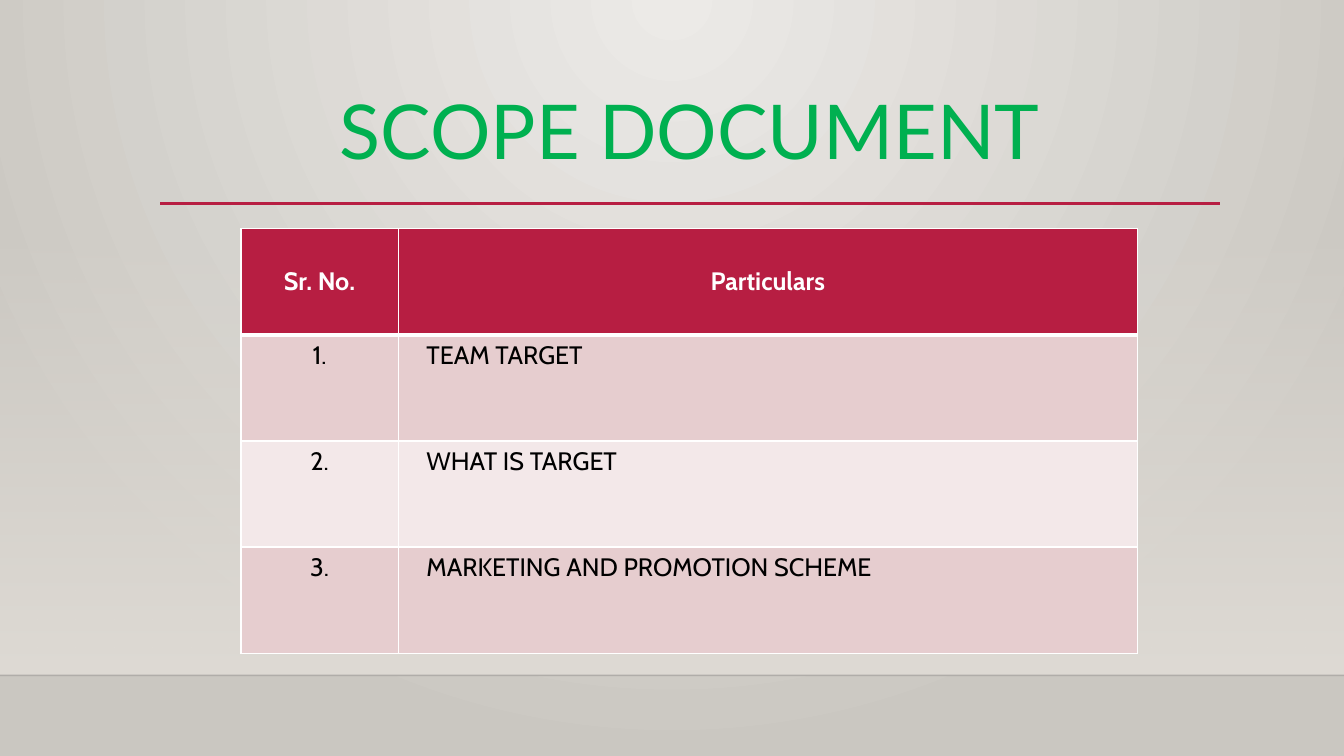
from dataclasses import dataclass

import pptx
import pptx.dml.color
import pptx.enum.shapes
import pptx.enum.text
import pptx.oxml
import pptx.oxml.ns
import pptx.util

ALIGN = pptx.enum.text.PP_ALIGN
ANCHOR = pptx.enum.text.MSO_ANCHOR


@dataclass(frozen=True)
class Theme:
    title_font: str = "Lato"
    body_font: str = "Cabin"
    title_size: float = 54
    body_size: float = 18
    title: str = "00B050"
    title_outline: str = "002060"
    accent: str = "B71E42"
    bands: tuple = ("E6CDCF", "F3E8E9")
    text: str = "000000"
    light: str = "FFFFFF"
    glow: tuple = ("ECEAE7", "CAC7C1")
    wall: str = "DFDBD5"
    edge: str = "000001"


def rgb(value):
    return pptx.dml.color.RGBColor.from_string(value)


def element(xml):
    """Parse one DrawingML element, adding the namespace to its root tag."""
    tag = xml[1:].split()[0].rstrip("/>").split(">")[0]
    ns = pptx.oxml.ns.nsdecls("a")
    return pptx.oxml.parse_xml(xml.replace(tag, f"{tag} {ns}", 1))


def line_xml(tag, color, width):
    return element(
        f'<a:{tag} w="{int(pptx.util.Pt(width))}"><a:solidFill>'
        f'<a:srgbClr val="{color}"/></a:solidFill></a:{tag}>'
    )


def set_alpha(parent, percents):
    """Give the RGB colours under parent these opacities, in order."""
    for color, percent in zip(parent.iter(pptx.oxml.ns.qn("a:srgbClr")), percents):
        color.append(element(f'<a:alpha val="{percent * 1000}"/>'))


def set_gradient(fill, colors):
    fill.gradient()
    for stop, color, position in zip(fill.gradient_stops, colors, (0, 1)):
        stop.color.rgb = rgb(color)
        stop.position = position


def write(tf, text, *, font, size, color, bold=False, align=ALIGN.LEFT, spacing=None):
    p = tf.paragraphs[0]
    p.alignment = align
    if spacing:
        p.line_spacing = spacing
    r = p.add_run()
    r.text = text
    r.font.name = font
    r.font.size = pptx.util.Pt(size)
    r.font.bold = bold
    r.font.color.rgb = rgb(color)
    return r


class Deck:
    """Builds one slide; lengths are percentages of its width and height."""

    def __init__(self, theme):
        self.theme = theme
        self.prs = pptx.Presentation()
        self.prs.slide_width = pptx.util.Inches(13.33)
        self.prs.slide_height = pptx.util.Inches(7.5)
        self.s = self.prs.slides.add_slide(self.prs.slide_layouts[5])

    def x(self, share):
        return round(self.prs.slide_width * share / 100)

    def y(self, share):
        return round(self.prs.slide_height * share / 100)

    def box(self, left, top, width, height):
        return self.x(left), self.y(top), self.x(width), self.y(height)

    def background(self):
        set_gradient(self.s.background.fill, self.theme.glow)
        lin = next(self.s.element.iter(pptx.oxml.ns.qn("a:lin")))
        lin.getparent().replace(lin, element(
            '<a:path path="circle"><a:fillToRect l="43000" r="43000" b="100000"/></a:path>'
        ))

    def fading_wall(self, *place):
        sp = self.s.shapes.add_shape(
            pptx.enum.shapes.MSO_SHAPE.RECTANGLE, *self.box(*place))
        sp.shadow.inherit = False
        sp.line.fill.background()
        set_gradient(sp.fill, [self.theme.wall] * 2)
        sp.fill.gradient_angle = 270
        set_alpha(sp.element.spPr, (0, 100))

    def rule(self, left, right, top, color, width, opacity=100):
        sp = self.s.shapes.add_connector(
            pptx.enum.shapes.MSO_CONNECTOR.STRAIGHT,
            self.x(left), self.y(top), self.x(right), self.y(top))
        sp.line.color.rgb = rgb(color)
        sp.line.width = pptx.util.Pt(width)
        if opacity < 100:
            set_alpha(sp.element.spPr, [opacity])
        sp.element.spPr.append(element("<a:effectLst/>"))

    def title(self, text, *place):
        t = self.theme
        sp = self.s.shapes.title
        sp.left, sp.top, sp.width, sp.height = self.box(*place)
        tf = sp.text_frame
        tf.word_wrap = True
        tf.auto_size = pptx.enum.text.MSO_AUTO_SIZE.NONE
        tf.vertical_anchor = ANCHOR.TOP
        r = write(tf, text, font=t.title_font, size=t.title_size, color=t.title,
                  align=ALIGN.CENTER, spacing=0.9)
        r.font._element.insert(0, line_xml("ln", t.title_outline, 0.75))

    def table(self, rows, widths, left, top, height):
        place = self.box(left, top, sum(widths), height)
        table = self.s.shapes.add_table(len(rows), len(widths), *place).table
        for column, width in zip(table.columns, widths):
            column.width = self.x(width)
        for i, values in enumerate(rows):
            table.rows[i].height = self.y(height / len(rows))
            for j, value in enumerate(values):
                self.cell(table.cell(i, j), value, i, j)

    def cell(self, cell, text, row, column):
        t = self.theme
        header = row == 0
        centred = header or column == 0
        cell.fill.solid()
        cell.fill.fore_color.rgb = rgb(t.accent if header else t.bands[(row - 1) % 2])
        cell.vertical_anchor = ANCHOR.MIDDLE if header else ANCHOR.TOP
        if not centred:
            cell.margin_left = self.x(2.1)
        write(cell.text_frame, text, font=t.body_font, size=t.body_size, bold=header,
              color=t.light if header else t.text,
              align=ALIGN.CENTER if centred else ALIGN.LEFT)
        widths = {"lnL": 1, "lnR": 1, "lnT": 3 if row == 1 else 1, "lnB": 3 if header else 1}
        for i, (side, width) in enumerate(widths.items()):
            cell._tc.get_or_add_tcPr().insert(i, line_xml(side, t.light, width))


def main():
    theme = Theme()
    deck = Deck(theme)
    deck.background()
    deck.fading_wall(0, 29.47, 100, 59.86)
    deck.rule(0, 100, 89.33, theme.edge, 1, opacity=20)
    deck.rule(11.93, 90.77, 26.93, theme.accent, 2.5)
    deck.title("SCOPE DOCUMENT", 11.93, 11.73, 78.8, 15.33)
    topics = ["TEAM TARGET", "WHAT IS TARGET", "MARKETING AND PROMOTION SCHEME"]
    rows = [("Sr. No.", "Particulars")]
    rows += [(f"{number}.", topic) for number, topic in enumerate(topics, 1)]
    deck.table(rows, widths=(11.7, 55), left=17.93, top=30.27, height=56.13)
    deck.prs.save("out.pptx")


if __name__ == "__main__":
    main()
